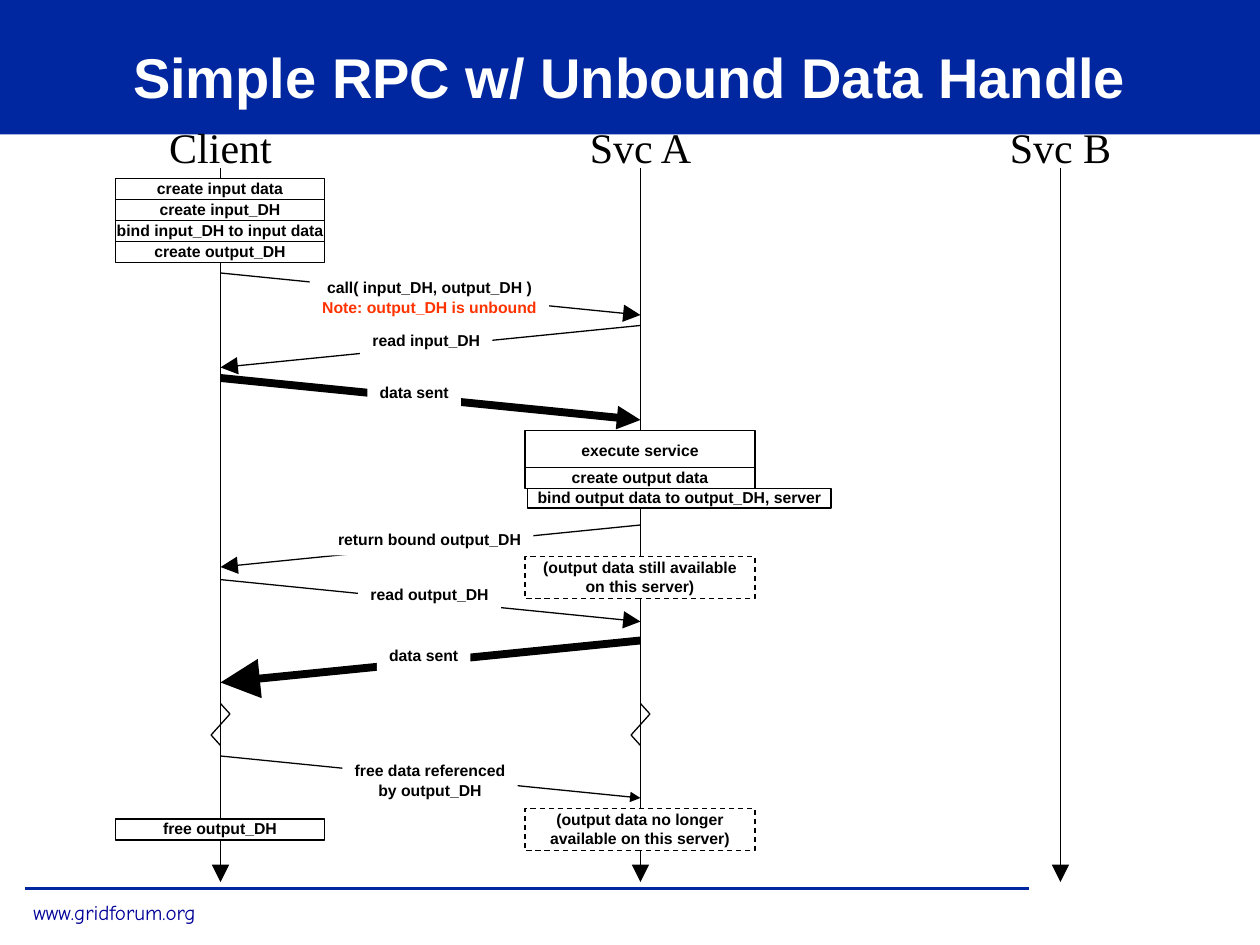
import pptx
import pptx.util
import pptx.dml.color
import pptx.enum.dml
import pptx.enum.shapes
import pptx.enum.text
from pptx.oxml.ns import qn
from lxml import etree

RGBColor = pptx.dml.color.RGBColor
NAVY = RGBColor(0x00, 0x27, 0x9F)
LINK_BLUE = RGBColor(0x00, 0x00, 0x99)
RED = RGBColor(0xFF, 0x33, 0x00)
BLACK = RGBColor(0, 0, 0)
WHITE = RGBColor(255, 255, 255)

Inches, Pt = pptx.util.Inches, pptx.util.Pt
ALIGN = pptx.enum.text.PP_ALIGN
ANCHOR = pptx.enum.text.MSO_ANCHOR
RECTANGLE = pptx.enum.shapes.MSO_SHAPE.RECTANGLE
STRAIGHT = pptx.enum.shapes.MSO_CONNECTOR.STRAIGHT
DASH = pptx.enum.dml.MSO_LINE.DASH

WIDTH, HEIGHT = Inches(10), Inches(7.5)
CELL = HEIGHT / 90          # the page is a grid of 120 columns by 90 rows

LABEL = {"name": "Arial", "size": Pt(9), "bold": True}
HEADING = {"name": "Times New Roman", "size": Pt(24)}
TITLE = {"name": "Arial", "size": Pt(32), "bold": True}
FOOTER = {"name": "Comic Neue", "size": Pt(12)}

CLIENT, SVC_A, SVC_B = 21, 61, 101      # lifeline columns
ACTION_WIDTH, SERVICE_WIDTH = 19.9, 21.9
HEADING_WIDTH = 16

# left, top, width, height, text, dashed outline
ACTIONS = [
    (11, 17 + 2 * step, ACTION_WIDTH, 2, text, False)
    for step, text in enumerate(["create input data", "create input_DH",
                                 "bind input_DH to input data", "create output_DH"])
] + [
    (11, 78, ACTION_WIDTH, 2, "free output_DH", False),
    (50, 41, SERVICE_WIDTH, 4, "execute service", False),
    (50, 44.5, SERVICE_WIDTH, 2, "create output data", False),
    (50.25, 46.5, 28.9, 1.9, "bind output data to output_DH, server", False),
    (50, 53, SERVICE_WIDTH, 4, "(output data still available\non this server)", True),
    (50, 77, SERVICE_WIDTH, 4, "(output data no longer\navailable on this server)", True),
]

# start column, end column, row, line width, head size, label left, label width, text
MESSAGES = [
    (CLIENT, SVC_A, 26, 0.75, "lg", 29.5, 22.8,
     "call( input_DH, output_DH )\nNote: output_DH is unbound"),
    (SVC_A, CLIENT, 31, 0.75, "lg", 34.3, 12.6, "read input_DH"),
    (CLIENT, SVC_A, 36, 4.5, "med", 35, 8.9, "data sent"),
    (SVC_A, CLIENT, 50, 0.75, "lg", 31, 19.8, "return bound output_DH"),
    (CLIENT, SVC_A, 55.2, 0.75, "lg", 34.1, 13.6, "read output_DH"),
    (SVC_A, CLIENT, 61, 4.5, "lg", 35.9, 8.9, "data sent"),
    (CLIENT, SVC_A, 72, 0.75, "med", 32.6, 16.7,
     "free data referenced\nby output_DH"),
]


def cells(*counts):
    return [round(count * CELL) for count in counts]


def write(shape, text, style, color=BLACK, align=ALIGN.CENTER,
          anchor=ANCHOR.MIDDLE, wrap=False, spacing=None):
    frame = shape.text_frame
    for name, value in {"word_wrap": wrap, "vertical_anchor": anchor,
                        "margin_left": Inches(0.1), "margin_right": Inches(0.1),
                        "margin_top": Inches(0.05), "margin_bottom": Inches(0.05)}.items():
        setattr(frame, name, value)
    for index, line in enumerate(text.split("\n")):
        para = frame.paragraphs[0] if index == 0 else frame.add_paragraph()
        para.alignment = align
        if spacing and index == 0:
            para.line_spacing = spacing
        span = para.add_run()
        span.text = line
        for name, value in style.items():
            setattr(span.font, name, value)
        span.font.color.rgb = color


def add_text(page, box, text, style, **options):
    write(page.shapes.add_textbox(*cells(*box)), text, style, **options)


def add_block(page, box, fill, outline=None, dashed=False):
    block = page.shapes.add_shape(RECTANGLE, *cells(*box))
    block.shadow.inherit = False
    block.fill.solid()
    block.fill.fore_color.rgb = fill
    if outline is None:
        block.line.fill.background()
    else:
        block.line.color.rgb = outline
        block.line.width = Pt(0.75)
        if dashed:
            block.line.dash_style = DASH
    return block


def add_line(page, start, end, width=0.75, color=BLACK, head=None):
    line = page.shapes.add_connector(STRAIGHT, *cells(*start, *end))
    line.line.color.rgb = color
    line.line.width = Pt(width)
    properties = line._element.spPr
    if head:
        etree.SubElement(properties.find(qn("a:ln")), qn("a:tailEnd"),
                         type="triangle", w=head, len=head)
    etree.SubElement(properties, qn("a:effectLst"))


def add_frame(page):
    # Banner with title, and footer
    add_block(page, (0, 0, 120, 12.8), NAVY)
    add_text(page, (9, 3, 102, 9), "Simple RPC w/ Unbound Data Handle", TITLE,
             color=WHITE, wrap=True, spacing=0.96)
    add_line(page, (2.4, 84.6), (98, 84.6), 2, NAVY)
    add_text(page, (2, 85.1, 18, 3.6), "www.gridforum.org", FOOTER,
             color=LINK_BLUE, align=ALIGN.LEFT, anchor=ANCHOR.TOP)


def add_lifeline(page, column, name):
    add_line(page, (column, 16), (column, 84), head="lg")
    add_text(page, (column - HEADING_WIDTH / 2, 11, HEADING_WIDTH, 6), name,
             HEADING, anchor=ANCHOR.TOP)


def add_message(page, start, end, row, width, head, left, label_width, text):
    # Every arrow drops four rows; its label hides the middle part
    add_line(page, (start, row), (end, row + 4), width, head=head)
    height = 4.7 if "\n" in text else 2.9
    label = add_block(page, (left, row, label_width, height), WHITE)
    write(label, text, LABEL, anchor=ANCHOR.TOP, spacing=0.96)
    for para in label.text_frame.paragraphs:
        if para.text.startswith("Note:"):
            para.runs[0].font.color.rgb = RED


def add_action(page, left, top, width, height, text, dashed):
    block = add_block(page, (left, top, width, height), WHITE, BLACK, dashed)
    write(block, text, LABEL, spacing=0.96)


def add_time_break(page, column, row):
    points = [cells(column + shift, row + drop)
              for shift, drop in [(0, 0), (0.9, 1), (-0.9, 3), (0, 4)]]
    builder = page.shapes.build_freeform(*points[0])
    builder.add_line_segments(points[1:], close=False)
    zigzag = builder.convert_to_shape()
    zigzag.shadow.inherit = False
    zigzag.fill.background()
    zigzag.line.color.rgb = BLACK
    zigzag.line.width = Pt(0.75)


def main():
    deck = pptx.Presentation()
    deck.slide_width, deck.slide_height = WIDTH, HEIGHT
    page = deck.slides.add_slide(deck.slide_layouts[6])
    add_frame(page)
    for column, name in [(CLIENT, "Client"), (SVC_A, "Svc A"), (SVC_B, "Svc B")]:
        add_lifeline(page, column, name)
    for message in MESSAGES:
        add_message(page, *message)
    for action in ACTIONS:
        add_action(page, *action)
    for column in (CLIENT, SVC_A):
        add_time_break(page, column, 67)
    deck.save("out.pptx")


if __name__ == "__main__":
    main()
